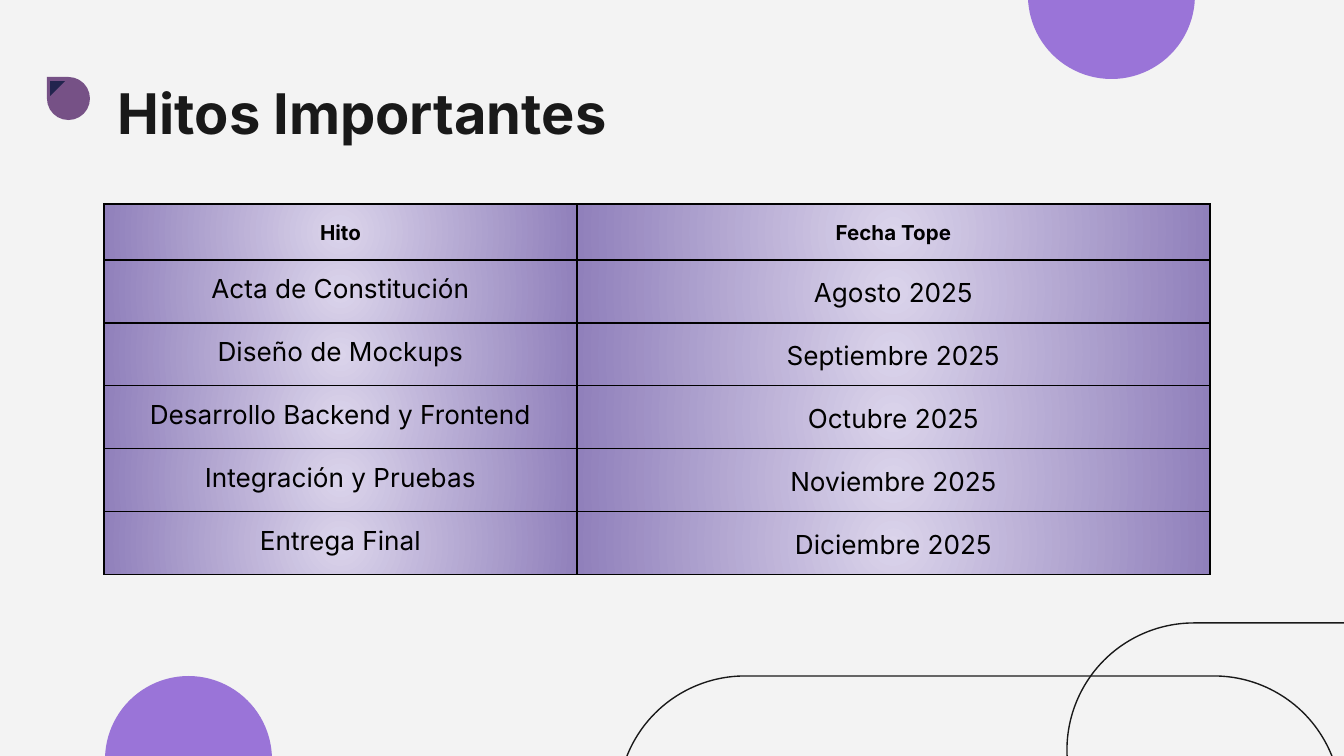
"""Build the milestones slide with its dated table and rounded decorations."""
from pptx import Presentation
from pptx.dml.color import RGBColor
from pptx.enum.shapes import MSO_SHAPE
from pptx.enum.text import PP_ALIGN
from pptx.oxml import parse_xml
from pptx.oxml.ns import nsdecls
from pptx.util import Emu, Pt

ROUNDED = MSO_SHAPE.ROUNDED_RECTANGLE
CHORD = MSO_SHAPE.CHORD
TEARDROP = MSO_SHAPE.TEAR
TRIANGLE = MSO_SHAPE.ISOSCELES_TRIANGLE
CENTER = PP_ALIGN.CENTER

FONT = "Inter"
INK, BLACK = "191919", "000000"
BACKGROUND, LILAC = "F3F3F3", "9A74D8"
CELL_CENTER, CELL_EDGE = "DBD4EB", "9080BB"

TITLE = "Hitos Importantes"
MILESTONES = [
    ("Hito", "Fecha Tope"),
    ("Acta de Constitución", "Agosto 2025"),
    ("Diseño de Mockups", "Septiembre 2025"),
    ("Desarrollo Backend y Frontend", "Octubre 2025"),
    ("Integración y Pruebas", "Noviembre 2025"),
    ("Entrega Final", "Diciembre 2025"),
]
COLUMN_WIDTHS = [473, 633]
HEADER_HEIGHT, ROW_HEIGHT = 56, 63
TABLE_LEFT, TABLE_TOP = 104, 204

OUTLINES = [(1067, 623, 576, 254), (618, 676, 723, 254)]
HALF_DISCS = [((1028, -88, 167, 167), 0), ((105, 676, 167, 167), 180)]
MARKER = [
    (TEARDROP, (47, 77, 43, 43), 1, 0, "765186"),
    (TRIANGLE, (50, 81, 15, 15), 0, 180, "22244E"),
]


def px(length):
    return Emu(round(length * 914400 / 134.4))


def color(value):
    return RGBColor.from_string(value)


def add_shape(slide, kind, place, adjustments, fill=None, rotation=0, flip=False):
    shape = slide.shapes.add_shape(kind, *map(px, place))
    shape.shadow.inherit = False
    for index, value in enumerate(adjustments):
        shape.adjustments[index] = value
    shape.rotation = rotation
    if flip:
        shape.element.spPr.xfrm.set("flipH", "1")
    if fill:
        shape.fill.solid()
        shape.fill.fore_color.rgb = color(fill)
        shape.line.fill.background()
    else:
        shape.fill.background()
        shape.line.color.rgb = color(INK)
        shape.line.width = Pt(0.75)


def write(frame, text, size, bold, ink):
    frame.margin_left = frame.margin_right = px(13)
    frame.margin_top = frame.margin_bottom = px(13)
    frame.word_wrap = True
    para = frame.paragraphs[0]
    para.text = text
    para.font.name = FONT
    para.font.size = Pt(size)
    para.font.bold = bold
    para.font.color.rgb = color(ink)
    return para


def style_cell(cell):
    properties = cell._tc.get_or_add_tcPr()
    for side in ("lnL", "lnR", "lnT", "lnB"):
        properties.append(parse_xml(
            f'<a:{side} {nsdecls("a")} w="{Pt(0.75)}"><a:solidFill>'
            f'<a:srgbClr val="{BLACK}"/></a:solidFill></a:{side}>'))
    properties.append(parse_xml(
        f'<a:gradFill {nsdecls("a")}><a:gsLst>'
        f'<a:gs pos="0"><a:srgbClr val="{CELL_CENTER}"/></a:gs>'
        f'<a:gs pos="100000"><a:srgbClr val="{CELL_EDGE}"/></a:gs></a:gsLst>'
        '<a:path path="circle"><a:fillToRect l="50000" t="50000" r="50000" b="50000"/>'
        '</a:path></a:gradFill>'))


def add_milestones(slide):
    heights = [HEADER_HEIGHT] + [ROW_HEIGHT] * (len(MILESTONES) - 1)
    place = (TABLE_LEFT, TABLE_TOP, sum(COLUMN_WIDTHS), sum(heights))
    table = slide.shapes.add_table(
        len(MILESTONES), len(COLUMN_WIDTHS), *map(px, place)).table
    for column, width in zip(table.columns, COLUMN_WIDTHS):
        column.width = px(width)
    for row_index, (texts, height) in enumerate(zip(MILESTONES, heights)):
        table.rows[row_index].height = px(height)
        header = row_index == 0
        for column_index, text in enumerate(texts):
            cell = table.cell(row_index, column_index)
            para = write(cell.text_frame, text, 11 if header else 14, header, BLACK)
            cell.margin_left = cell.margin_right = px(13)
            cell.margin_top = cell.margin_bottom = px(13)
            para.alignment = CENTER
            if header or column_index == 1:
                para.line_spacing = 1.15
            style_cell(cell)


def main():
    deck = Presentation()
    deck.slide_width, deck.slide_height = px(1344), px(756)
    slide = deck.slides.add_slide(deck.slide_layouts[6])
    slide.background.fill.solid()
    slide.background.fill.fore_color.rgb = color(BACKGROUND)

    for place in OUTLINES:
        add_shape(slide, ROUNDED, place, [0.5])
    for place, rotation in HALF_DISCS:
        add_shape(slide, CHORD, place, [1.142, 107.354], LILAC, rotation)

    box = slide.shapes.add_textbox(*map(px, (105, 66, 681, 85)))
    write(box.text_frame, TITLE, 30, True, INK)
    add_milestones(slide)

    for kind, place, adjustment, rotation, fill in MARKER:
        add_shape(slide, kind, place, [adjustment], fill, rotation, flip=True)
    deck.save("out.pptx")


if __name__ == "__main__":
    main()
